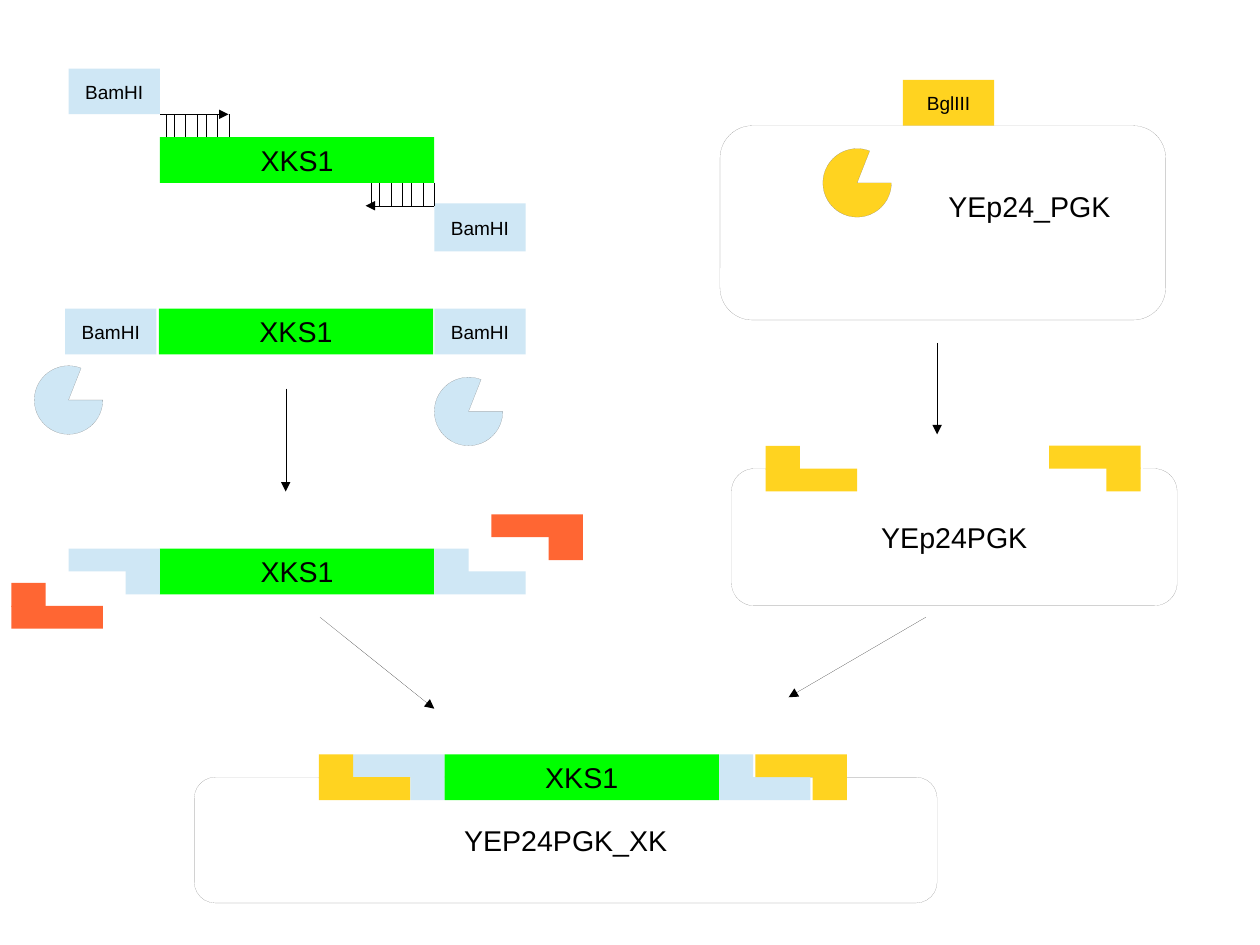
from lxml import etree
from pptx import Presentation
from pptx.dml.color import RGBColor
from pptx.enum import shapes, text
from pptx.oxml import ns
from pptx.util import Inches, Pt

BLACK = RGBColor(0x00, 0x00, 0x00)
WHITE = RGBColor(0xFF, 0xFF, 0xFF)
GRAY = RGBColor(0x80, 0x80, 0x80)
GREEN = RGBColor(0x00, 0xFF, 0x00)
BLUE = RGBColor(0xCF, 0xE7, 0xF5)
YELLOW = RGBColor(0xFF, 0xD3, 0x20)
ORANGE = RGBColor(0xFF, 0x66, 0x33)
FONT = "Arial"
HAIRLINE = Pt(0.05)
SITE_WIDTH, GENE_WIDTH, BAND_HEIGHT = 0.8, 2.4, 0.4
BASE_PAIRS = (0.05, 0.12, 0.22, 0.32, 0.4, 0.5, 0.6)


def write(shape, words, size):
    """Put one line of black text in a shape."""
    shape.text_frame.text = words
    font = shape.text_frame.paragraphs[0].runs[0].font
    font.name, font.size, font.color.rgb = FONT, Pt(size), BLACK


def add_block(slide, kind, box, fill=None, line=None, label="", size=18):
    """Add a preset shape with an optional centred label."""
    shape = slide.shapes.add_shape(kind, *map(Inches, box))
    shape.shadow.inherit = False
    if fill is None:
        shape.fill.background()
    else:
        shape.fill.solid()
        shape.fill.fore_color.rgb = fill
    if line is None:
        shape.line.fill.background()
    else:
        shape.line.color.rgb = line
        shape.line.width = HAIRLINE
    if label:
        write(shape, label, size)
        shape.text_frame.word_wrap = False
        shape.text_frame.vertical_anchor = text.MSO_ANCHOR.MIDDLE
        shape.text_frame.paragraphs[0].alignment = text.PP_ALIGN.CENTER
    return shape


def add_band(slide, left, top, width, height, fill, label="", size=18):
    """Add a plain filled rectangle."""
    add_block(slide, shapes.MSO_SHAPE.RECTANGLE, (left, top, width, height),
              fill, label=label, size=size)


def add_gene(slide, left, top):
    """Add the green XKS1 gene."""
    add_band(slide, left, top, GENE_WIDTH, BAND_HEIGHT, GREEN, "XKS1")


def add_site(slide, left, top, fill, enzyme, height=BAND_HEIGHT):
    """Add a labelled restriction site."""
    add_band(slide, left, top, SITE_WIDTH, height, fill, enzyme, 12)


def add_low_end(slide, left, top, fill):
    """Add a sticky end whose overhang runs right along the bottom."""
    add_band(slide, left, top + 0.2, SITE_WIDTH, 0.2, fill)
    add_band(slide, left, top, 0.3, 0.21, fill)


def add_high_end(slide, left, top, fill):
    """Add a sticky end whose overhang runs left along the top."""
    add_band(slide, left, top, SITE_WIDTH, 0.2, fill)
    add_band(slide, left + 0.5, top + 0.19, 0.3, 0.21, fill)


def add_enzyme(slide, left, top, fill):
    """Add a disc with an open mouth for a restriction enzyme."""
    pie = add_block(slide, shapes.MSO_SHAPE.PIE, (left, top, 0.6, 0.6), fill, GRAY)
    pie.adjustments[0] = 0
    pie.adjustments[1] = 291.5 * 0.6


def add_plasmid(slide, left, top, width, height, label=""):
    """Add a rounded plasmid outline."""
    add_block(slide, shapes.MSO_SHAPE.ROUNDED_RECTANGLE,
              (left, top, width, height), line=GRAY, label=label)


def add_line(slide, start, end, arrow=False):
    """Add a hairline, with an arrowhead at its end if wanted."""
    connector = slide.shapes.add_connector(
        shapes.MSO_CONNECTOR.STRAIGHT, *map(Inches, (*start, *end)))
    connector.line.color.rgb = BLACK
    connector.line.width = HAIRLINE
    if arrow:
        line = connector.line._get_or_add_ln()
        etree.SubElement(line, ns.qn("a:tailEnd"), type="triangle")
    etree.SubElement(connector._element.spPr, ns.qn("a:effectLst"))


def add_base_pairs(slide, left, top):
    """Add the short strokes that tie a primer to the gene."""
    for offset in BASE_PAIRS:
        add_line(slide, (left + offset, top), (left + offset, top + 0.2))


def draw_amplification(slide, left, top):
    """Draw the gene with its two primers."""
    gene_left, gene_top = left + SITE_WIDTH, top + 0.6
    gene_right, gene_bottom = gene_left + GENE_WIDTH, gene_top + BAND_HEIGHT
    add_gene(slide, gene_left, gene_top)
    add_site(slide, left, top, BLUE, "BamHI")
    add_site(slide, gene_right, gene_bottom + 0.18, BLUE, "BamHI", 0.42)
    add_base_pairs(slide, gene_left, gene_top - 0.2)
    add_base_pairs(slide, gene_right - 0.6, gene_bottom)
    forward, reverse = gene_top - 0.2, gene_bottom + 0.2
    add_line(slide, (gene_left, forward), (gene_left + 0.6, forward), True)
    add_line(slide, (gene_right, reverse), (gene_right - 0.6, reverse), True)


def draw_digestion(slide, left, top):
    """Draw the amplified gene being cut at both sites."""
    add_gene(slide, left + 0.82, top)
    for site_left in (left, left + 3.23):
        add_site(slide, site_left, top, BLUE, "BamHI")
    add_enzyme(slide, left - 0.27, top + 0.5, BLUE)
    add_enzyme(slide, left + 3.23, top + 0.6, BLUE)


def draw_cut_gene(slide, left, top):
    """Draw the gene with sticky ends and the pieces cut away."""
    gene_left = left + SITE_WIDTH
    add_gene(slide, gene_left, top)
    add_high_end(slide, left, top, BLUE)
    add_low_end(slide, gene_left + GENE_WIDTH, top, BLUE)
    add_low_end(slide, left - 0.5, top + 0.3, ORANGE)
    add_high_end(slide, left + 3.7, top - 0.3, ORANGE)


def draw_vector(slide, left, top):
    """Draw the closed plasmid with its site and enzyme."""
    add_site(slide, left + 1.6, top - BAND_HEIGHT, YELLOW, "BglIII")
    add_plasmid(slide, left, top, 3.9, 1.7)
    add_enzyme(slide, left + 0.9, top + 0.2, YELLOW)
    caption = slide.shapes.add_textbox(
        *map(Inches, (left + 1.9, top + 0.5, 1.7, 0.38)))
    caption.text_frame.word_wrap = True
    write(caption, "YEp24_PGK", 18)


def draw_open_vector(slide, left, top):
    """Draw the plasmid opened between two sticky ends."""
    add_plasmid(slide, left, top, 3.9, 1.2, "YEp24PGK")
    add_band(slide, left + 0.5, top - 0.1, 3.1, 0.2, WHITE)
    add_low_end(slide, left + 0.3, top - 0.2, YELLOW)
    add_high_end(slide, left + 2.78, top - 0.2, YELLOW)


def draw_product(slide, left, top):
    """Draw the plasmid with the gene ligated into it."""
    add_plasmid(slide, left, top, 6.5, 1.1, "YEP24PGK_XK")
    gene_left, gene_top = left + 2.19, top - 0.2
    gene_right = gene_left + GENE_WIDTH
    add_high_end(slide, gene_left - SITE_WIDTH, gene_top, BLUE)
    add_low_end(slide, gene_left - 1.1, gene_top, YELLOW)
    add_low_end(slide, gene_right, gene_top, BLUE)
    add_high_end(slide, gene_right + 0.32, gene_top, YELLOW)
    add_gene(slide, gene_left, gene_top)


def main():
    """Build the cloning diagram."""
    presentation = Presentation()
    presentation.slide_width = Inches(793.75 / 72)
    presentation.slide_height = Inches(595.25 / 72)
    slide = presentation.slides.add_slide(presentation.slide_layouts[6])
    draw_product(slide, 1.7, 6.8)
    draw_amplification(slide, 0.6, 0.6)
    draw_digestion(slide, 0.57, 2.7)
    draw_cut_gene(slide, 0.6, 4.8)
    draw_vector(slide, 6.3, 1.1)
    draw_open_vector(slide, 6.4, 4.1)
    for start, end in (((2.5, 3.4), (2.5, 4.3)), ((8.2, 3), (8.2, 3.8)),
                       ((2.8, 5.4), (3.8, 6.2)), ((8.1, 5.4), (6.9, 6.1))):
        add_line(slide, start, end, True)
    presentation.save("out.pptx")


if __name__ == "__main__":
    main()
